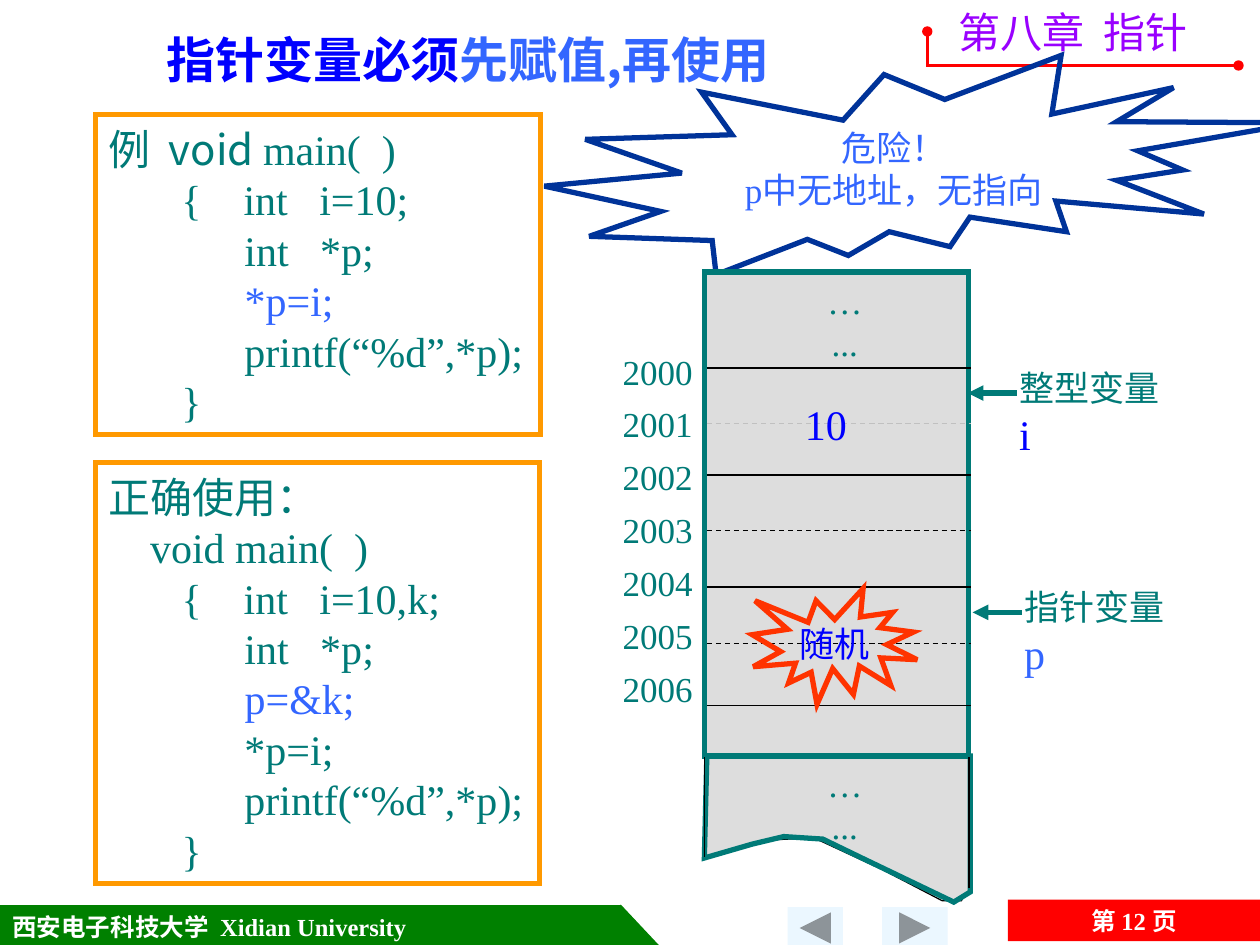
from lxml import etree
from pptx import Presentation
from pptx.dml.color import RGBColor
from pptx.enum.dml import MSO_LINE
from pptx.enum.shapes import MSO_CONNECTOR, MSO_SHAPE
from pptx.enum.text import MSO_ANCHOR, MSO_AUTO_SIZE, PP_ALIGN
from pptx.oxml.ns import qn
from pptx.util import Inches, Pt

RECT = MSO_SHAPE.RECTANGLE
WEDGE = MSO_SHAPE.RIGHT_TRIANGLE
NEXT = MSO_SHAPE.ACTION_BUTTON_FORWARD_OR_NEXT
BURST = MSO_SHAPE.EXPLOSION1
CLOUD = MSO_SHAPE.EXPLOSION2
STRAIGHT = MSO_CONNECTOR.STRAIGHT
DASH = MSO_LINE.DASH
TOP, MID, LOW = MSO_ANCHOR.TOP, MSO_ANCHOR.MIDDLE, MSO_ANCHOR.BOTTOM
LEFT, CENTER = PP_ALIGN.LEFT, PP_ALIGN.CENTER

WIDE, HIGH = Inches(10), Inches(7.5)
UNIT = WIDE // 10
TIMES, NOTO = "Times New Roman", "Noto Sans CJK SC"
TEAL, SKY, BLUE, GRAY = "007A77", "3366FF", "0000FF", "DDDDDD"
BLACK, WHITE, GREEN, RED = "000000", "FFFFFF", "008000", "FF0000"
ORANGE = "FF9900"


def color(code):
    return RGBColor.from_string(code)


def grid(*sizes):
    return [int(size * UNIT) for size in sizes]


def paint(shape, fill=None, line=None, width=3):
    shape.shadow.inherit = False
    if fill:
        shape.fill.solid()
        shape.fill.fore_color.rgb = color(fill)
    else:
        shape.fill.background()
    if line:
        shape.line.color.rgb = color(line)
        shape.line.width = Pt(width)
        ln = shape.line._get_or_add_ln()
        etree.SubElement(ln, qn("a:miter"), lim="800000")
    else:
        shape.line.fill.background()


def tip(shape, **ends):
    ln = shape.line._get_or_add_ln()
    for end, kind in ends.items():
        etree.SubElement(ln, qn(f"a:{end}End"), type=kind)


def write(shape, paras, size, align=LEFT, anchor=MID, pad=0.1,
          bold=False, pitch=None):
    frame = shape.text_frame
    frame.word_wrap = True
    frame.auto_size = MSO_AUTO_SIZE.NONE
    frame.vertical_anchor = anchor
    frame.margin_left = frame.margin_right = Inches(pad)
    frame.margin_top = frame.margin_bottom = Inches(0.05)
    for num, parts in enumerate(paras):
        para = frame.add_paragraph() if num else frame.paragraphs[0]
        para.alignment = align
        if pitch:
            para.line_spacing = Pt(pitch)
        for text, tone, face, *own in parts:
            run = para.add_run()
            run.text = text
            font = run.font
            font.size = Pt(own[0] if own else size)
            font.bold = bold
            font.name = face
            font.color.rgb = color(tone)
            east = etree.Element(qn("a:ea"), typeface=NOTO)
            run._r.rPr.find(qn("a:latin")).addnext(east)


def block(slide, kind, box, fill=None, line=None, width=3):
    shape = slide.shapes.add_shape(kind, *grid(*box))
    paint(shape, fill, line, width)
    return shape


def label(slide, box, parts, size, **style):
    write(slide.shapes.add_textbox(*grid(*box)), [parts], size, **style)


def rule(slide, start, end, tone=BLACK, width=0.75, dash=None):
    line = slide.shapes.add_connector(STRAIGHT, *grid(*start, *end))
    line.line.color.rgb = color(tone)
    line.line.width = Pt(width)
    if dash:
        line.line.dash_style = dash
    etree.SubElement(line._element.spPr, qn("a:effectLst"))
    return line


def trace(slide, points, close=False, **style):
    first, *rest = [grid(*point) for point in points]
    path = slide.shapes.build_freeform(*first)
    path.add_line_segments(rest, close=close)
    shape = path.convert_to_shape()
    paint(shape, **style)
    return shape


def code(slide, box, lines):
    shape = block(slide, RECT, box, line=ORANGE)
    write(shape, lines, 24, pitch=28.8)


def footer(slide):
    bar = block(slide, RECT, (0, 7.19, 4.92, 0.33), GREEN, GREEN, 0.75)
    write(bar, [[("西安电子科技大学  Xidian University", WHITE, TIMES)]],
          14, bold=True)
    block(slide, WEDGE, (4.93, 7.19, 0.31, 0.33), GREEN, GREEN, 0.75)
    block(slide, NEXT, (7, 7.2, 0.52, 0.33), "EBF7FF")
    back = block(slide, NEXT, (6.25, 7.2, 0.44, 0.33), "EBF7FF")
    back.rotation = 180
    page = block(slide, RECT, (8, 7.14, 2, 0.33), RED)
    write(page, [[("第 ", WHITE, NOTO), ("12 ", WHITE, TIMES),
                  ("页", WHITE, NOTO)]], 14, CENTER, bold=True)


def header(slide):
    title = slide.shapes.title
    title.left, title.top, title.width, title.height = grid(
        1.22, 0.36, 8.5, 0.39)
    write(title, [[("指针变量必须", BLUE, NOTO),
                   ("先赋值,再使用", SKY, NOTO)]], 28, anchor=LOW, bold=True)
    label(slide, (7.51, 0, 2.2, 0.5), [("第八章  指针", "9900FF", NOTO)],
          24, anchor=TOP)
    hook = trace(slide, [(7.36, 0.25), (7.36, 0.52), (9.83, 0.52)],
                 line=RED, width=1.5)
    tip(hook, head="oval", tail="oval")


def memory(slide):
    trace(slide, [(5.59, 6.82), (6.05, 6.67), (6.46, 6.65), (7, 6.9),
                  (7.48, 7.15), (7.63, 7.15), (7.69, 7.04)],
          line=BLACK, width=0.75)
    trace(slide, [(5.61, 6), (7.7, 6), (7.7, 7.08), (7.57, 7.16),
                  (6.84, 6.81), (6.53, 6.66), (6.22, 6.64),
                  (5.97, 6.7), (5.59, 6.81)], True, fill=GRAY, line=TEAL)
    block(slide, RECT, (5.59, 2.16, 2.1, 3.84), GRAY, TEAL)
    for y, tone, dash in [(2.92, BLACK, None), (3.36, "C0C0C0", DASH),
                          (3.77, BLACK, None), (4.21, BLACK, DASH),
                          (4.66, BLACK, None), (5.11, BLACK, DASH),
                          (5.6, BLACK, None)]:
        rule(slide, (5.61, y), (7.71, y), tone, dash=dash)
    for x, y in [(5.59, 6.8), (7.69, 7.05)]:
        rule(slide, (x, 6.01), (x, y))
    for y in (2.26, 6.09):
        label(slide, (6.44, y, 0.53, 0.59), [("…...", TEAL, TIMES)],
              20, align=CENTER)
    for num in range(7):
        label(slide, (4.84, 2.73 + num * 0.42, 0.76, 0.43),
              [(str(2000 + num), TEAL, TIMES)], 20, align=CENTER, pad=0)
    for x, y, text, name, tone in [(7.68, 3.12, "整型变量", "i", BLUE),
                                   (7.72, 4.86, "指针变量", "p", SKY)]:
        arrow = rule(slide, (x + 0.39, y), (x, y), TEAL, 3)
        tip(arrow, tail="triangle")
        label(slide, (x + 0.31, y - 0.26, 1.4, 0.5),
              [(text, TEAL, TIMES), (name, tone, TIMES, 24)], 20, anchor=TOP)
    label(slide, (6.29, 3.11, 0.53, 0.5), [("10", BLUE, TIMES)],
          24, align=CENTER, pad=0)
    label(slide, (6.24, 4.89, 0.76, 0.43), [("随机", BLUE, TIMES)],
          20, align=CENTER, pad=0)
    block(slide, BURST, (5.97, 4.67, 1.31, 0.92), line="FF3300")


def main():
    deck = Presentation()
    deck.slide_width, deck.slide_height = WIDE, HIGH
    slide = deck.slides.add_slide(deck.slide_layouts[5])
    footer(slide)
    header(slide)
    gap = " " * 13
    decl = [(gap + "int   *p;", TEAL, TIMES)]
    show = [(gap + "printf(“%d”,*p);", TEAL, TIMES)]
    end = [("       }", TEAL, TIMES)]
    code(slide, (0.76, 0.91, 3.53, 2.54), [
        [("例  void ", TEAL, NOTO), ("main(  )", TEAL, TIMES)],
        [("       {    int   i=10;", TEAL, TIMES)], decl,
        [(gap, TEAL, TIMES), ("*p=i;", SKY, TIMES)], show, end])
    cloud = block(slide, CLOUD, (4.32, 0.44, 5.99, 1.74), line="003399")
    write(cloud, [[("危险！", SKY, TIMES)],
                  [("p中无地址，无指向", SKY, TIMES)]], 20, CENTER)
    code(slide, (0.76, 3.67, 3.52, 3.34), [
        [("正确使用：", TEAL, TIMES)],
        [("    void main(  )", TEAL, TIMES)],
        [("       {    int   i=10,k;", TEAL, TIMES)], decl,
        [(gap, TEAL, TIMES), ("p=&k;", SKY, TIMES)],
        [(gap + "*p=i;", TEAL, TIMES)], show, end])
    memory(slide)
    deck.save("out.pptx")


if __name__ == "__main__":
    main()
